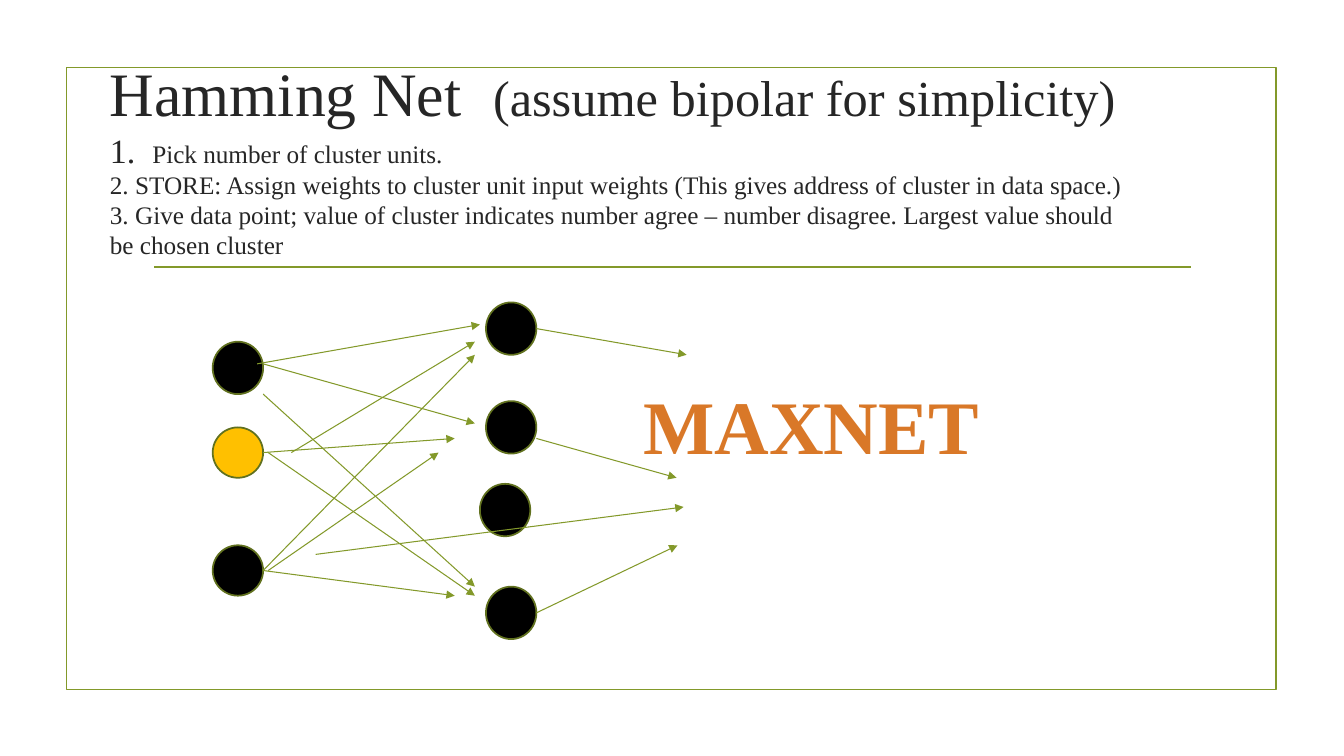
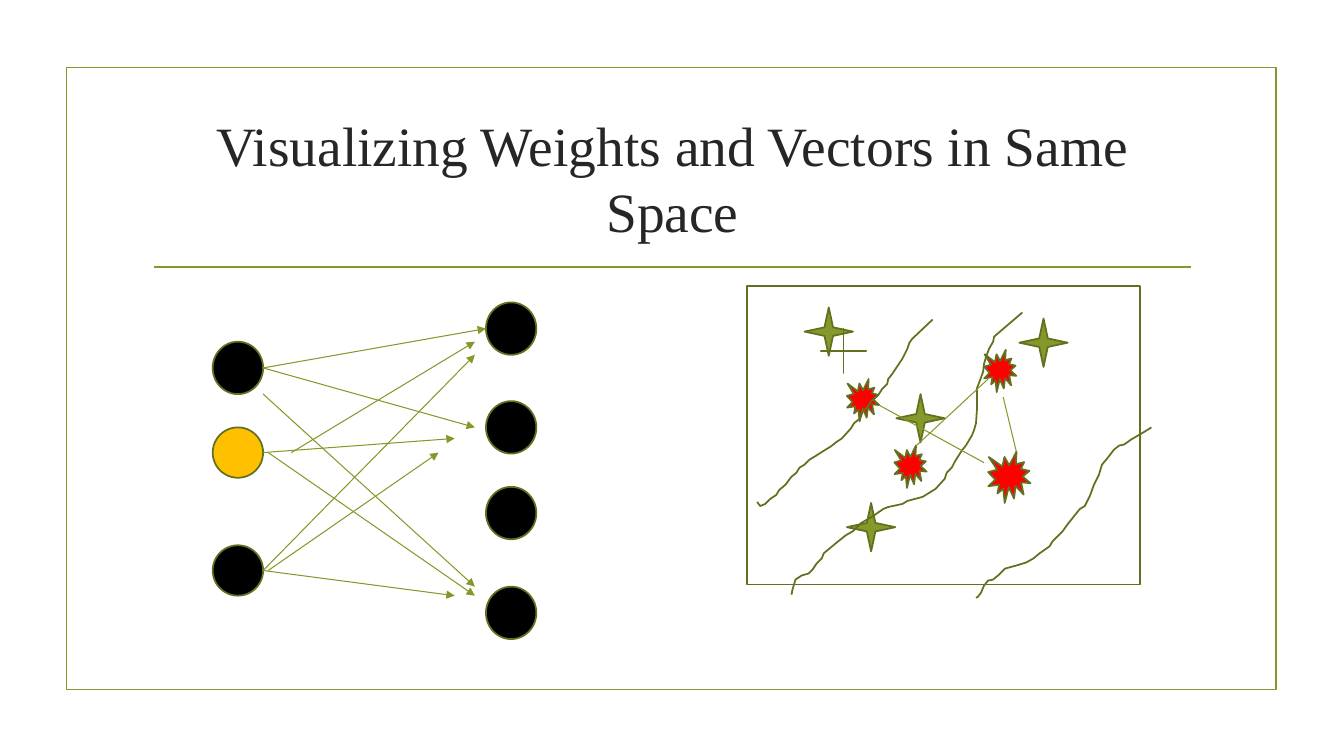
import typing

import lxml.etree
import pptx
import pptx.dml.color
import pptx.enum.shapes
import pptx.enum.text
import pptx.oxml.ns
import pptx.util

Inches = pptx.util.Inches
SHAPE = pptx.enum.shapes.MSO_SHAPE
ANCHOR = pptx.enum.text.MSO_ANCHOR
ALIGN = pptx.enum.text.PP_ALIGN

FONT = "Times New Roman"
INK, ORANGE = "262626", "D97828"
GREEN, DARK_GREEN = "83992A", "61711F"
BLACK, GOLD, RED, WHITE = "000000", "FFC000", "FF0000", "FFFFFF"
LINE_SPACING = 0.98
OUTLINE = 1.25


class Point(typing.NamedTuple):
    x: float
    y: float


class Box(typing.NamedTuple):
    left: float
    top: float
    width: float
    height: float

    def inches(self) -> list:
        return [Inches(v) for v in self]


class Link(typing.NamedTuple):
    start: Point
    end: Point


class Unit(typing.NamedTuple):
    box: Box
    fill: str = BLACK


def link(x1: float, y1: float, x2: float, y2: float) -> Link:
    return Link(Point(x1, y1), Point(x2, y2))


INPUT_X, CLUSTER_X, UNIT_W, UNIT_H = 2.11, 4.82, 0.5, 0.52
INPUT_UNITS = [
    Unit(Box(INPUT_X, 3.39, UNIT_W, UNIT_H)),
    Unit(Box(INPUT_X, 4.24, UNIT_W, UNIT_W), GOLD),
    Unit(Box(INPUT_X, 5.41, UNIT_W, UNIT_W)),
]
CLUSTER_UNITS = [Unit(Box(CLUSTER_X, y, UNIT_W, UNIT_H)) for y in (3, 3.98, 5.82)]

WEIGHT_LINKS = [
    link(2.89, 4.49, 4.71, 3.39),
    link(2.61, 5.66, 4.71, 3.52),
    link(2.61, 4.49, 4.51, 4.35),
    link(2.66, 5.66, 4.35, 4.49),
    link(2.61, 3.91, 4.71, 5.82),
    link(2.66, 4.49, 4.71, 5.91),
    link(2.61, 5.66, 4.51, 5.91),
]
MAXNET_LINKS = [
    link(5.32, 3.26, 6.81, 3.52),
    link(5.32, 4.35, 6.71, 4.74),
    link(3.13, 5.5, 6.78, 5.03),
    link(5.32, 6.08, 6.72, 5.41),
]

STAR_SIZE = 0.48
STARS = [Point(7.98, 3.05), Point(8.89, 3.91), Point(10.11, 3.16), Point(8.4, 4.99)]
CROSS = Box(8.14, 3.26, 0.45, 0.44)
BURSTS = [
    Box(8.4, 3.76, 0.32, 0.42),
    Box(9.8, 4.48, 0.42, 0.51),
    Box(8.87, 4.42, 0.32, 0.42),
    Box(9.76, 3.47, 0.32, 0.42),
]
BURST_LINKS = [
    link(8.72, 4.02, 9.76, 4.59),
    link(10.08, 4.48, 9.95, 3.94),
    link(9.8, 3.76, 9.09, 4.42),
]
BOUNDARIES = [
    [(11.42, 4.24), (11.34, 4.29), (11.22, 4.36), (11.15, 4.41), (11.1, 4.42),
     (11.05, 4.46), (10.98, 4.55), (10.93, 4.61), (10.9, 4.71), (10.85, 4.81),
     (10.81, 4.92), (10.76, 5.02), (10.71, 5.05), (10.59, 5.2), (10.54, 5.27),
     (10.44, 5.37), (10.41, 5.42), (10.31, 5.49), (10.25, 5.54), (10.18, 5.58),
     (10.08, 5.61), (9.97, 5.64), (9.91, 5.7), (9.85, 5.75), (9.8, 5.76),
     (9.76, 5.81), (9.73, 5.88), (9.7, 5.92), (9.68, 5.93)],
    [(10.14, 3.1), (9.86, 3.34), (9.85, 3.39), (9.81, 3.46), (9.78, 3.54),
     (9.76, 3.61), (9.75, 3.69), (9.71, 3.8), (9.69, 3.85), (9.69, 4.06),
     (9.68, 4.2), (9.66, 4.27), (9.64, 4.32), (9.58, 4.42), (9.54, 4.47),
     (9.47, 4.58), (9.44, 4.64), (9.39, 4.69), (9.37, 4.75), (9.28, 4.85),
     (9.15, 4.93), (9, 4.97), (8.95, 5), (8.81, 5.03), (8.76, 5.05),
     (8.66, 5.12), (8.54, 5.19), (8.46, 5.27), (8.39, 5.31), (8.29, 5.39),
     (8.17, 5.49), (8.15, 5.54), (8.1, 5.59), (8.06, 5.65), (8.02, 5.69),
     (7.95, 5.71), (7.89, 5.75), (7.86, 5.85), (7.85, 5.9)],
    [(9.25, 3.17), (9.05, 3.36), (9.02, 3.4), (9, 3.46), (8.95, 3.56),
     (8.85, 3.71), (8.81, 3.76), (8.8, 3.81), (8.75, 3.86), (8.71, 3.92),
     (8.64, 3.98), (8.61, 4.03), (8.56, 4.08), (8.53, 4.15), (8.47, 4.2),
     (8.44, 4.25), (8.35, 4.35), (8.29, 4.39), (8.24, 4.43), (8.19, 4.46),
     (8.08, 4.53), (8.03, 4.56), (7.98, 4.61), (7.93, 4.64), (7.9, 4.69),
     (7.85, 4.73), (7.79, 4.81), (7.73, 4.86), (7.7, 4.91), (7.64, 4.95),
     (7.59, 5), (7.54, 5.02), (7.51, 4.98)],
]


def rgb(color: str) -> pptx.dml.color.RGBColor:
    return pptx.dml.color.RGBColor.from_string(color)


def add_text(p, text: str, *, size: float, color: str = INK, bold: bool = False) -> None:
    r = p.add_run()
    r.text = text
    r.font.name = FONT
    r.font.size = pptx.util.Pt(size)
    r.font.bold = bold
    r.font.color.rgb = rgb(color)


def set_tab(p, position: float) -> None:
    tabs = lxml.etree.SubElement(p._p.get_or_add_pPr(), pptx.oxml.ns.qn("a:tabLst"))
    tab = lxml.etree.SubElement(tabs, pptx.oxml.ns.qn("a:tab"))
    tab.set("pos", str(Inches(position)))
    tab.set("algn", "l")


def paint(sp, fill: str | None, line: str = DARK_GREEN) -> None:
    sp.shadow.inherit = False
    if fill:
        sp.fill.solid()
        sp.fill.fore_color.rgb = rgb(fill)
    else:
        sp.fill.background()
    sp.line.color.rgb = rgb(line)
    sp.line.width = pptx.util.Pt(OUTLINE)


def add_shape(s, kind, box: Box, fill: str | None, line: str = DARK_GREEN):
    sp = s.shapes.add_shape(kind, *box.inches())
    paint(sp, fill, line)
    return sp


def add_line(s, ends: Link, *, width: float = 0.75, arrow: bool = False) -> None:
    cxn = s.shapes.add_connector(
        pptx.enum.shapes.MSO_CONNECTOR.STRAIGHT,
        *[Inches(v) for v in (*ends.start, *ends.end)])
    cxn.line.color.rgb = rgb(GREEN)
    cxn.line.width = pptx.util.Pt(width)
    if arrow:
        tail = lxml.etree.SubElement(cxn.line._get_or_add_ln(), pptx.oxml.ns.qn("a:tailEnd"))
        tail.set("type", "triangle")
    lxml.etree.SubElement(cxn._element.spPr, pptx.oxml.ns.qn("a:effectLst"))


def add_boundary(s, points: list) -> None:
    first, *rest = [(Inches(x), Inches(y)) for x, y in points]
    builder = s.shapes.build_freeform(*first)
    builder.add_line_segments(rest, close=False)
    paint(builder.convert_to_shape(), None)


def add_slide(prs, title_box: Box, anchor):
    """Add a framed slide and return it with its empty title text frame."""
    s = prs.slides.add_slide(prs.slide_layouts[5])
    add_shape(s, SHAPE.RECTANGLE, Box(0.66, 0.67, 12, 6.17), None, GREEN)
    add_line(s, link(1.53, 2.65, 11.81, 2.65), width=OUTLINE)
    title = s.shapes.title
    title.left, title.top, title.width, title.height = title_box.inches()
    tf = title.text_frame
    tf.word_wrap = True
    tf.auto_size = pptx.enum.text.MSO_AUTO_SIZE.NONE
    tf.vertical_anchor = anchor
    return s, tf


def format_paragraph(p, align) -> None:
    p.alignment = align
    p.line_spacing = LINE_SPACING
    p.space_before = p.space_after = pptx.util.Pt(0)


def draw_network(s, third_cluster: Point, links: list[Link]) -> None:
    third = Unit(Box(*third_cluster, UNIT_W, UNIT_H))
    for unit in [*INPUT_UNITS, *CLUSTER_UNITS, third]:
        add_shape(s, SHAPE.FLOWCHART_CONNECTOR, unit.box, unit.fill)
    for ends in [*links, *WEIGHT_LINKS]:
        add_line(s, ends, arrow=True)


def build_hamming_slide(prs) -> None:
    s, tf = add_slide(prs, Box(0.99, 0.53, 10.3, 2.08), ANCHOR.TOP)
    lines = [
        ([("Hamming Net\t", 44.1), ("(assume bipolar for simplicity)", 36)], 3.8),
        ([("1.\t", 24.3), ("Pick number of cluster units.", 18)], 0.42),
        ([("2. STORE: Assign weights to cluster unit input weights "
           "(This gives address of cluster in data space.)", 18)], None),
        ([("3. Give data point; value of cluster indicates number agree – number "
           "disagree. Largest value should be chosen cluster", 18)], None),
    ]
    for i, (runs, tab) in enumerate(lines):
        p = tf.add_paragraph() if i else tf.paragraphs[0]
        format_paragraph(p, ALIGN.LEFT)
        if tab:
            set_tab(p, tab)
        for text, size in runs:
            add_text(p, text, size=size)

    draw_network(s, Point(4.76, 4.8),
                 [link(2.55, 3.61, 4.76, 3.22), link(2.61, 3.61, 4.71, 4.2), *MAXNET_LINKS])
    tf = s.shapes.add_textbox(*Box(6.24, 3.71, 3.61, 1.01).inches()).text_frame
    tf.word_wrap = False
    p = tf.paragraphs[0]
    p.alignment = ALIGN.CENTER
    add_text(p, "MAXNET", size=54, color=ORANGE, bold=True)


def build_space_slide(prs) -> None:
    s, tf = add_slide(prs, Box(1.42, 1.07, 10.5, 1.43), ANCHOR.MIDDLE)
    p = tf.paragraphs[0]
    format_paragraph(p, ALIGN.CENTER)
    add_text(p, "Visualizing Weights and Vectors in Same Space", size=39.6)

    draw_network(s, Point(CLUSTER_X, 4.83),
                 [link(2.61, 3.65, 4.82, 3.26), link(2.61, 3.65, 4.71, 4.24)])
    add_shape(s, SHAPE.RECTANGLE, Box(7.41, 2.84, 3.9, 2.96), WHITE)
    for star in STARS:
        add_shape(s, SHAPE.STAR_4_POINT, Box(*star, STAR_SIZE, STAR_SIZE), GREEN)
    add_shape(s, SHAPE.STAR_4_POINT, CROSS, GREEN).adjustments[0] = 0
    for burst in BURSTS:
        add_shape(s, SHAPE.EXPLOSION1, burst, RED)
    for points in BOUNDARIES:
        add_boundary(s, points)
    for ends in BURST_LINKS:
        add_line(s, ends)


def main() -> None:
    prs = pptx.Presentation()
    prs.slide_width, prs.slide_height = Inches(13.33), Inches(7.5)
    build_hamming_slide(prs)
    build_space_slide(prs)
    prs.save("out.pptx")


if __name__ == "__main__":
    main()
